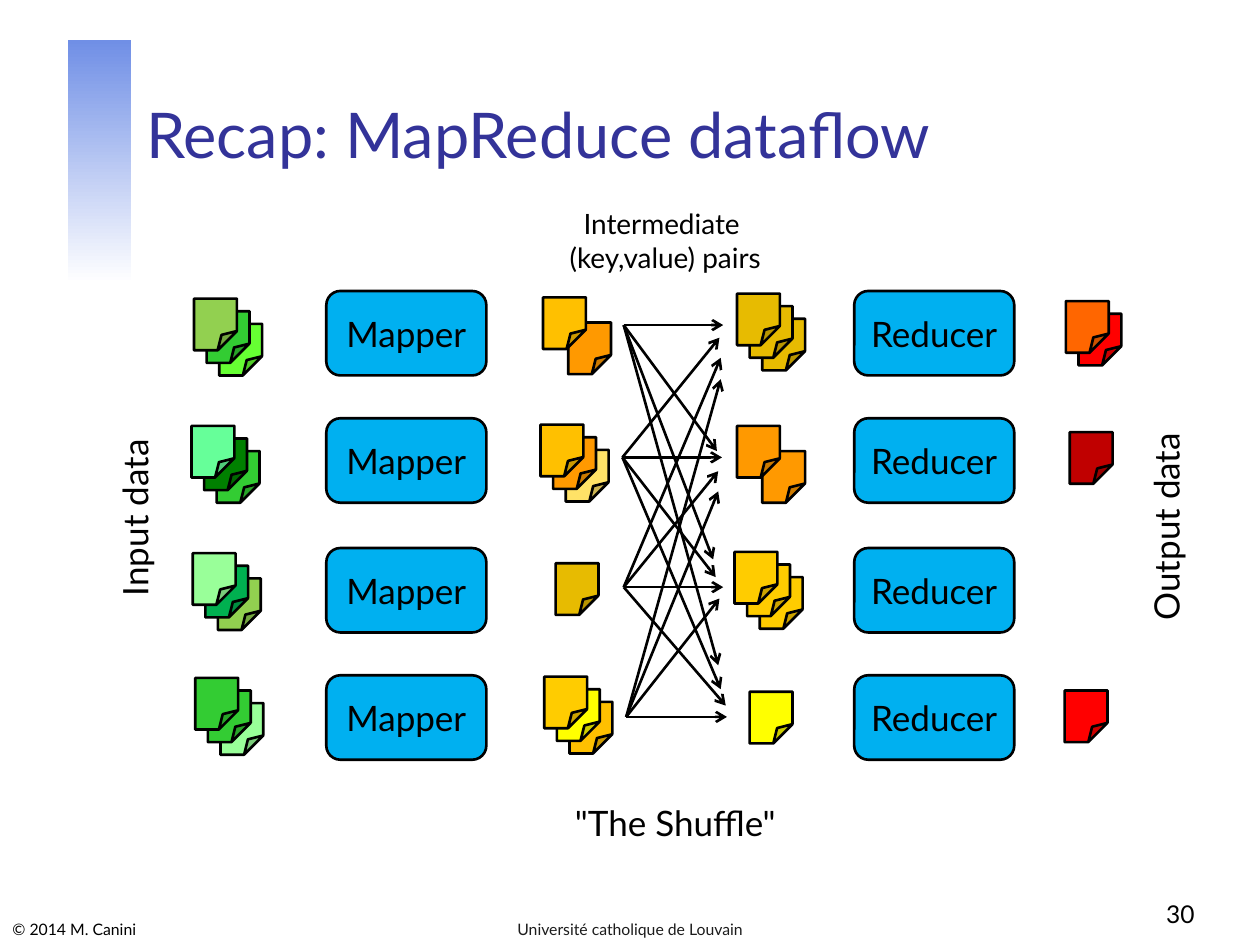
from dataclasses import dataclass

from lxml import etree
from pptx import Presentation
from pptx.dml.color import RGBColor
from pptx.enum.shapes import MSO_CONNECTOR, MSO_SHAPE
from pptx.enum.text import MSO_ANCHOR, MSO_AUTO_SIZE, PP_ALIGN
from pptx.oxml.ns import qn
from pptx.util import Emu, Pt

SHEET, BLOCK, RECTANGLE = MSO_SHAPE.FOLDED_CORNER, MSO_SHAPE.ROUNDED_RECTANGLE, MSO_SHAPE.RECTANGLE
STRAIGHT = MSO_CONNECTOR.STRAIGHT
LEFT, CENTER, RIGHT = PP_ALIGN.LEFT, PP_ALIGN.CENTER, PP_ALIGN.RIGHT
TOP, MIDDLE, BOTTOM = MSO_ANCHOR.TOP, MSO_ANCHOR.MIDDLE, MSO_ANCHOR.BOTTOM
PX = 9144  # 100 px to the inch


@dataclass
class Theme:
    font: str = "Lato"
    ink: str = "000000"
    title: str = "333399"
    footer: str = "1C1C1C"
    block: str = "00B0F0"
    band_top: str = "708FE6"
    band_bottom: str = "FFFFFF"
    title_size: int = 36
    label_size: int = 20
    note_size: int = 16
    number_size: int = 14
    footer_size: int = 9
    line: float = 1.5


theme = Theme()


def write(box, text, size, color, align=CENTER, anchor=TOP, wrap=False):
    frame = box.text_frame
    frame.auto_size = MSO_AUTO_SIZE.NONE
    frame.word_wrap = wrap
    frame.vertical_anchor = anchor
    para = frame.paragraphs[0]
    para.alignment = align
    for index, line in enumerate(text.split("\n")):
        if index:
            para.add_line_break()
        span = para.add_run()
        span.text = line
        span.font.name = theme.font
        span.font.size = Pt(size)
        span.font.color.rgb = RGBColor.from_string(color)


def add_outlined(kind, x, y, width, height, color):
    shape = page.shapes.add_shape(kind, x * PX, y * PX, width * PX, height * PX)
    shape.shadow.inherit = False
    shape.fill.solid()
    shape.fill.fore_color.rgb = RGBColor.from_string(color)
    shape.line.color.rgb = RGBColor.from_string(theme.ink)
    shape.line.width = Pt(theme.line)
    return shape


deck = Presentation()
deck.slide_width, deck.slide_height = Emu(1000 * PX), Emu(750 * PX)
page = deck.slides.add_slide(deck.slide_layouts[5])

# Gradient band
band = page.shapes.add_shape(RECTANGLE, 54 * PX, 32 * PX, 50 * PX, 193 * PX)
band.shadow.inherit = False
band.line.fill.background()
band.fill.gradient()
band.fill.gradient_angle = 270
for stop, color in zip(band.fill.gradient_stops, (theme.band_top, theme.band_bottom)):
    stop.color.rgb = RGBColor.from_string(color)

# Title
title = page.shapes.title
title.left, title.top, title.width, title.height = (Emu(n * PX) for n in (106, 33, 852, 108))
write(title, "Recap: MapReduce dataflow", theme.title_size, theme.title, LEFT, BOTTOM, True)

# Mappers and reducers
for x, name in ((259, "Mapper"), (678, "Reducer")):
    for y in (231, 332, 435, 536):
        block = add_outlined(BLOCK, x, y, 127, 67, theme.block)
        write(block, name, theme.label_size, theme.ink, anchor=MIDDLE)

# Stacks of sheets: front corner, then colours from front to back (None skips a step)
stacks = [
    # input
    (154, 237, ("92D050", "33CC33", "66FF33")),
    (152, 338, ("66FF99", "008000", "33CC33")),
    (153, 439, ("99FF99", "00B050", "92D050")),
    (155, 538, ("33CC33", "33CC33", "99FF99")),
    # mapped
    (431, 236, ("FFC000", None, "FF9900")),
    (429, 337, ("FFC000", "FF9900", "FFE267")),
    (441, 447, ("E7BB01",)),
    (432, 537, ("FFCC00", "FFFF00", "FFC000")),
    # shuffled
    (585, 233, ("E7BB01",) * 3),
    (585, 338, ("FF9900", None, "FF9900")),
    (583, 438, ("FFCC00",) * 3),
    (595, 549, ("FFFF00",)),
    # output
    (846, 239, ("FF6600", "FF0000")),
    (849, 343, ("C00000",)),
    (845, 548, ("FF0000",)),
]
for x, y, colors in stacks:
    for step, color in reversed(list(enumerate(colors))):
        if color:
            sheet = add_outlined(SHEET, x + 10 * step, y + 10 * step, 34, 41, color)
            geometry = sheet._element.spPr.find(qn("a:prstGeom"))
            fold = geometry.find(qn("a:avLst"))
            etree.SubElement(fold, qn("a:gd"), name="adj", fmla="val 44800")

# Shuffle arrows: each mapper's start, then its end at every reducer
shuffle = [
    ((495, 258), ((574, 258), (569, 358), (566, 444), (570, 528))),
    ((494, 363), ((571, 268), (573, 363), (568, 458), (572, 547))),
    ((495, 466), ((572, 284), (570, 374), (574, 466), (576, 560))),
    ((497, 569), ((572, 301), (570, 390), (571, 475), (577, 569))),
]
for (start_x, start_y), ends in shuffle:
    for end_x, end_y in ends:
        arrow = page.shapes.add_connector(
            STRAIGHT, start_x * PX, start_y * PX, end_x * PX, end_y * PX)
        arrow.line.color.rgb = RGBColor.from_string(theme.ink)
        arrow.line.width = Pt(theme.line)
        outline = arrow._element.spPr.find(qn("a:ln"))
        etree.SubElement(outline, qn("a:tailEnd"), type="arrow")
        etree.SubElement(arrow._element.spPr, qn("a:effectLst"))

# Labels and footer
labels = [
    ("Input data", 32, 389, 150, 44, 270, theme.label_size, theme.ink, CENTER, TOP),
    ("Output data", 841, 396, 169, 44, 270, theme.label_size, theme.ink, CENTER, TOP),
    ('"The Shuffle"', 444, 631, 184, 44, 0, theme.label_size, theme.ink, CENTER, TOP),
    ("Intermediate \n(key,value) pairs", 437, 159, 182, 64, 0,
     theme.note_size, theme.ink, CENTER, TOP),
    ("© 2014 M. Canini", 0, 722, 302, 28, 0, theme.footer_size, theme.ink, LEFT, BOTTOM),
    ("Université catholique de Louvain", 342, 722, 316, 28, 0,
     theme.footer_size, theme.footer, CENTER, BOTTOM),
    ("30", 750, 692, 208, 50, 0, theme.number_size, theme.ink, RIGHT, BOTTOM),
]
for text, x, y, width, height, turn, size, color, align, anchor in labels:
    label = page.shapes.add_textbox(x * PX, y * PX, width * PX, height * PX)
    label.rotation = turn
    write(label, text, size, color, align, anchor, wrap=True)

deck.save("out.pptx")
